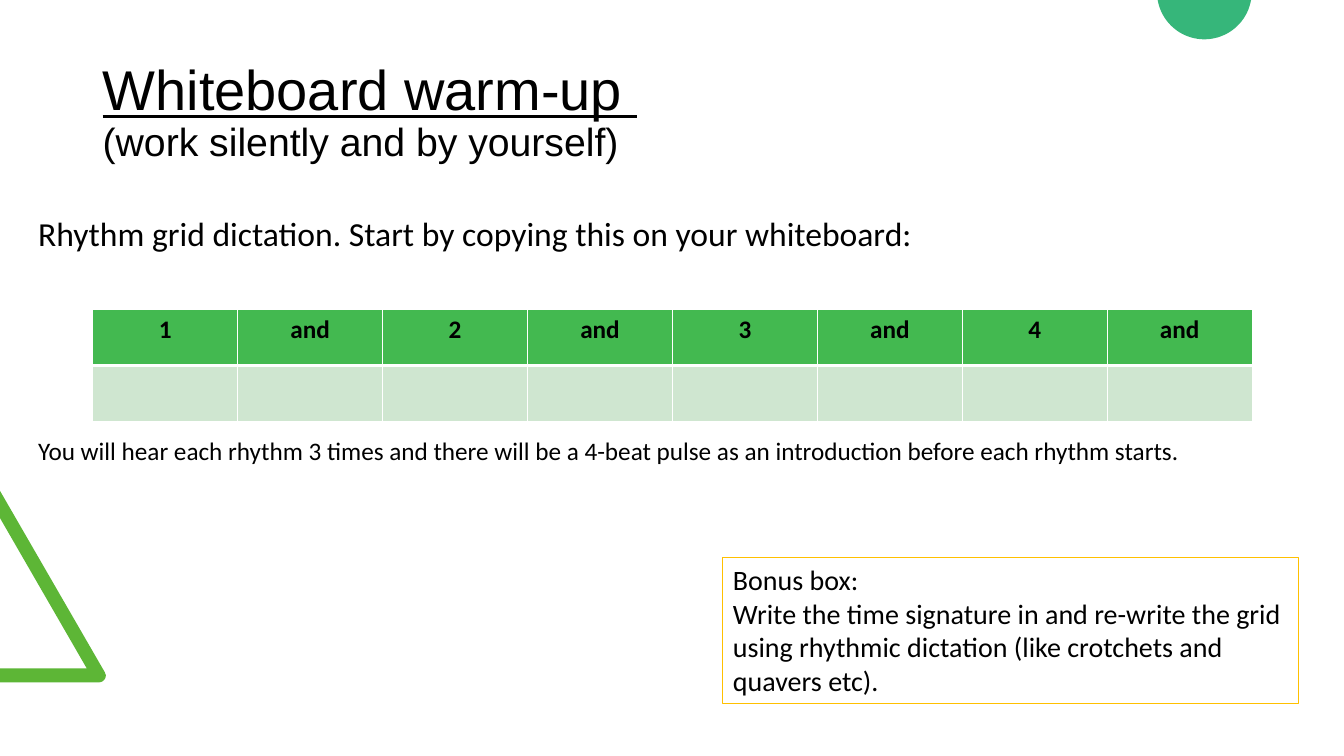
import math
from dataclasses import dataclass

import pptx
import pptx.dml.color
import pptx.enum.text
import pptx.oxml
import pptx.oxml.ns
import pptx.util

EMU_PER_PX = 9144  # 100 px to the inch
BLACK, WHITE = "000000", "FFFFFF"
MIDDLE = pptx.enum.text.MSO_ANCHOR.MIDDLE
TOP = pptx.enum.text.MSO_ANCHOR.TOP


@dataclass(frozen=True)
class Run:
    text: str
    size: int
    font: str = "Calibri"
    underline: bool = False
    bold: bool = False


@dataclass(frozen=True)
class TextBlock:
    left: int
    top: int
    width: int
    height: int
    paragraphs: list[list[Run]]  # runs of one paragraph stand on separate lines
    anchor: pptx.enum.text.MSO_ANCHOR = TOP
    line_spacing: float = 1.0
    outline: str = ""


@dataclass(frozen=True)
class Decoration:
    points: list[tuple[float, float]]
    color: str


def px(length: float) -> pptx.util.Emu:
    return pptx.util.Emu(round(length * EMU_PER_PX))


def rgb(color: str) -> pptx.dml.color.RGBColor:
    return pptx.dml.color.RGBColor.from_string(color)


def add_run(paragraph, run: Run) -> None:
    piece = paragraph.add_run()
    piece.text = run.text
    font = piece.font
    font.name, font.size = run.font, pptx.util.Pt(run.size)
    font.underline, font.bold = run.underline, run.bold
    font.color.rgb = rgb(BLACK)


def draw_decoration(slide, decoration: Decoration) -> None:
    start, *rest = [(px(x), px(y)) for x, y in decoration.points]
    builder = slide.shapes.build_freeform(*start)
    builder.add_line_segments(rest)
    outline = builder.convert_to_shape()
    outline.shadow.inherit = False
    outline.fill.solid()
    outline.fill.fore_color.rgb = rgb(decoration.color)
    outline.line.fill.background()


def draw_text(slide, block: TextBlock) -> None:
    box = slide.shapes.add_textbox(
        px(block.left), px(block.top), px(block.width), px(block.height))
    if block.outline:
        box.line.color.rgb = rgb(block.outline)
        box.line.width = pptx.util.Pt(0.75)
    frame = box.text_frame
    frame.word_wrap = True
    frame.vertical_anchor = block.anchor
    for index, runs in enumerate(block.paragraphs):
        paragraph = frame.add_paragraph() if index else frame.paragraphs[0]
        paragraph.line_spacing = block.line_spacing
        for number, run in enumerate(runs):
            if number:
                paragraph.add_line_break()
            add_run(paragraph, run)


def set_borders(cell, widths: dict[str, int]) -> None:
    properties = cell._tc.get_or_add_tcPr()
    for side, width in widths.items():
        properties.append(pptx.oxml.parse_xml(
            f'<a:ln{side} {pptx.oxml.ns.nsdecls("a")} w="{pptx.util.Pt(width)}">'
            f'<a:solidFill><a:srgbClr val="{WHITE}"/></a:solidFill></a:ln{side}>'))


def draw_rhythm_grid(slide, beats: list[str]) -> None:
    grid = slide.shapes.add_table(
        2, len(beats), px(92), px(307), px(1150), px(111)).table
    for column, beat in enumerate(beats):
        header, answer = grid.cell(0, column), grid.cell(1, column)
        set_borders(header, {"L": 1, "R": 1, "T": 1, "B": 3})
        set_borders(answer, {"L": 1, "R": 1, "T": 3, "B": 1})
        for cell, color in ((header, "43B950"), (answer, "CFE6D0")):
            cell.fill.solid()
            cell.fill.fore_color.rgb = rgb(color)
        label = header.text_frame.paragraphs[0]
        label.alignment = pptx.enum.text.PP_ALIGN.CENTER
        add_run(label, Run(beat, 18, bold=True))


def arc(center_x: float, center_y: float, radius: float,
        first: int, last: int, step: int) -> list[tuple[float, float]]:
    return [(center_x + radius * math.cos(math.radians(angle)),
             center_y + radius * math.sin(math.radians(angle)))
            for angle in range(first, last + 1, step)]


# Green triangle corner and circle running off the slide edges
DECORATIONS = [
    Decoration([(0, 677), (0, 663), (86, 663), (0, 514), (0, 487), (104, 667),
                *arc(98, 670, 7, 0, 90, 15)], "5DB636"),
    Decoration(arc(1194.5, -8, 47, 10, 170, 4), "36B67A"),
]

TEXTS = [
    # Title
    TextBlock(92, 40, 1150, 145, [[
        Run("Whiteboard warm-up ", 40, "Arial", underline=True),
        Run("(work silently and by yourself)", 28, "Arial")]],
        anchor=MIDDLE, line_spacing=0.9),
    # Instructions above and below the grid
    TextBlock(28, 206, 1137, 50, [[Run(
        "Rhythm grid dictation. Start by copying this on your whiteboard:", 24)]]),
    TextBlock(28, 427, 1305, 40, [[Run(
        "You will hear each rhythm 3 times and there will be a 4-beat pulse "
        "as an introduction before each rhythm starts.", 18)]]),
    # Bonus box
    TextBlock(717, 553, 571, 145, [
        [Run("Bonus box:", 20)],
        [Run("Write the time signature in and re-write the grid using rhythmic "
             "dictation (like crotchets and quavers etc).", 20)]],
        outline="FFC000"),
]

BEATS = [label for beat in range(1, 5) for label in (str(beat), "and")]


def main() -> None:
    deck = pptx.Presentation()
    deck.slide_width, deck.slide_height = px(1333), px(750)
    slide = deck.slides.add_slide(deck.slide_layouts[6])
    for decoration in DECORATIONS:
        draw_decoration(slide, decoration)
    for block in TEXTS:
        draw_text(slide, block)
    draw_rhythm_grid(slide, BEATS)
    deck.save("out.pptx")


if __name__ == "__main__":
    main()
